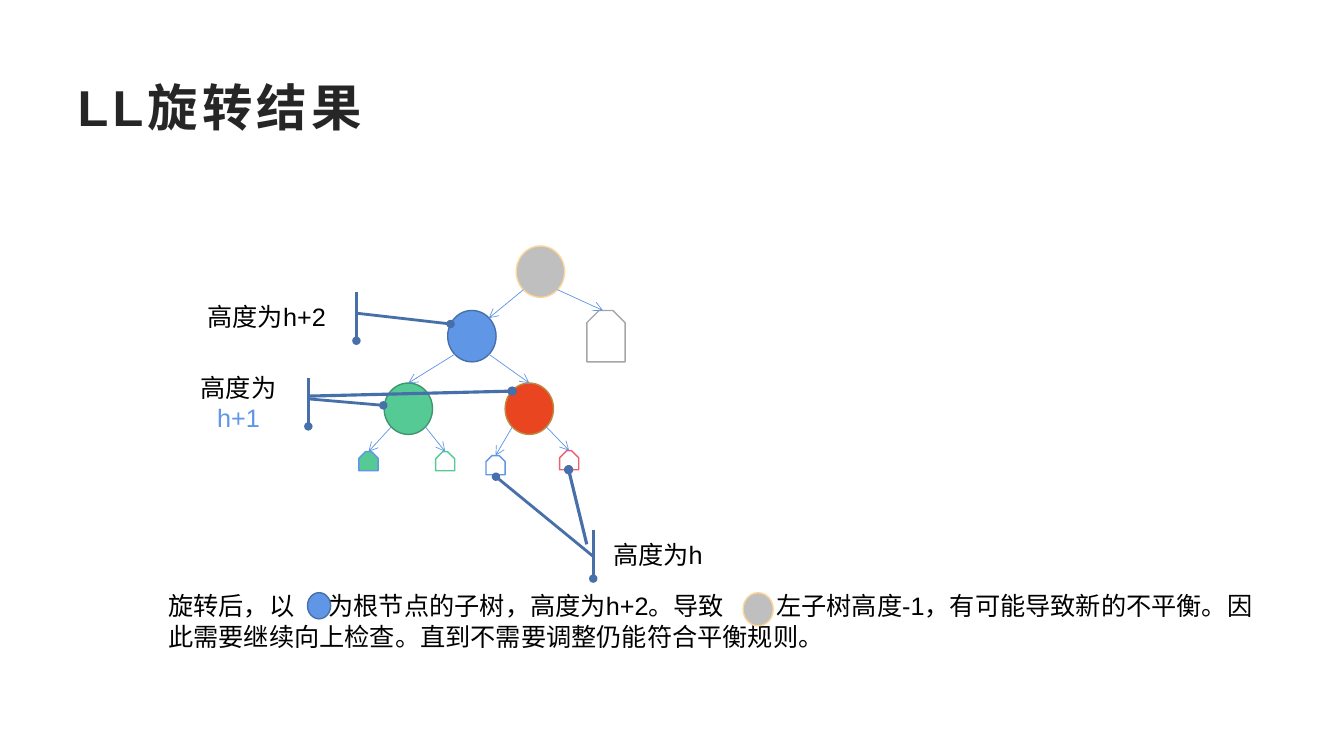
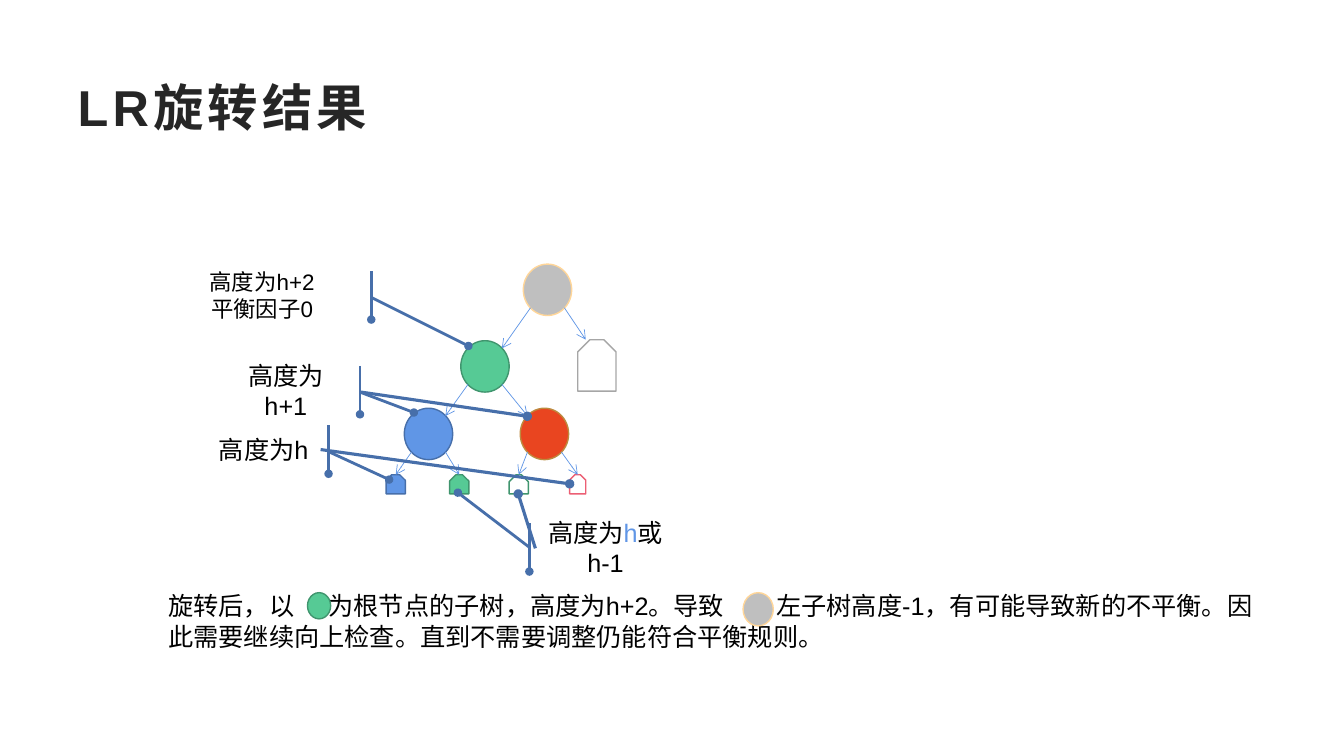
import pptx
import pptx.util
import pptx.oxml.ns
import pptx.dml.color
import pptx.enum.text
import pptx.enum.shapes
import lxml.etree

Inches = pptx.util.Inches
Pt = pptx.util.Pt
SHAPE = pptx.enum.shapes.MSO_SHAPE
ALIGN = pptx.enum.text.PP_ALIGN
ANCHOR = pptx.enum.text.MSO_ANCHOR
FIT = pptx.enum.text.MSO_AUTO_SIZE

FONT = "Arial"
INK, DARK, SKY, NAVY, WHITE = "000000", "262626", "6096E6", "476FAA", "FFFFFF"
GREEN, PINE, ROSE = "56CA95", "40956E", "EC5F74"
BALL = (0.48, 0.51)
BALLS = {
    "gray": ("BFBFBF", "FFD699"),
    "blue": (SKY, NAVY),
    "red": ("E94520", "BD8A3F"),
    "green": (GREEN, PINE),
}
SITES = {
    "top": (0.5, 0), "near top": (0.42, 0), "snip": (0.21, 0),
    "top left": (0.15, 0.15), "top right": (0.85, 0.15),
    "left": (0.15, 0.85), "right": (0.85, 0.85),
}
NOTE = ("旋转后，以\t为根节点的子树，高度为h+2。导致\t左子树高度-1，"
        "有可能导致新的不平衡。因此需要继续向上检查。直到不需要调整仍能符合平衡规则。")
TABS = (1.59, 6.03)

SLIDES = [
    {
        "title": "LL旋转结果",
        "root": "blue",
        "balls": {"gray": (5.12, 2.44), "blue": (4.44, 3.08),
                  "red": (5.01, 3.8), "green": (3.81, 3.8)},
        "leaves": {
            "a": ((3.56, 4.48, 0.19, 0.19), 0.35, GREEN, SKY),
            "b": ((4.32, 4.48, 0.19, 0.19), 0.38, WHITE, GREEN),
            "c": ((4.82, 4.52, 0.19, 0.19), 0.31, WHITE, SKY),
            "d": ((5.55, 4.47, 0.19, 0.19), 0.38, WHITE, ROSE),
            "side": ((5.82, 3.08, 0.38, 0.51), 0.32, WHITE, "A6A6A6"),
        },
        "edges": [
            ("gray", "left", "blue", "top right"),
            ("gray", "right", "side", "near top"),
            ("blue", "left", "green", "top"),
            ("blue", "right", "red", "top"),
            ("green", "left", "a", "top"),
            ("green", "right", "b", "top"),
            ("red", "left", "c", "top"),
            ("red", "right", "d", "top"),
        ],
        "labels": [
            ((1.8, 3.75, 1.13, 0.48), (0.432, 1.114, 0.566, 1.772), 18, ["高度为|h+1"]),
            ((1.92, 2.9, 1.45, 0.48), (0.432, 1.114, 0.655, 1.758), 18, ["高度为h+2"]),
            ((5.96, 5.26, 1.13, 0.48), (0.543, -0.067, -1.106, -0.921), 18, ["高度为h"]),
        ],
        "leads": [((5.82, 5.4), (5.64, 4.66)), ((3.05, 3.93), (5.08, 3.88))],
    },
    {
        "title": "LR旋转结果",
        "root": "green",
        "balls": {"gray": (5.19, 2.62), "red": (5.16, 4.05),
                  "blue": (4.01, 4.05), "green": (4.57, 3.38)},
        "leaves": {
            "a": ((3.83, 4.71, 0.19, 0.19), 0.29, SKY, NAVY),
            "b": ((4.46, 4.71, 0.19, 0.19), 0.33, GREEN, PINE),
            "c": ((5.05, 4.71, 0.19, 0.19), 0.36, WHITE, PINE),
            "d": ((5.65, 4.71, 0.16, 0.19), 0.33, WHITE, ROSE),
            "side": ((5.73, 3.37, 0.38, 0.51), 0.32, WHITE, "A6A6A6"),
        },
        "edges": [
            ("gray", "left", "green", "top right"),
            ("gray", "right", "side", "snip"),
            ("green", "left", "blue", "top right"),
            ("green", "right", "red", "top left"),
            ("blue", "left", "a", "top"),
            ("blue", "right", "b", "top"),
            ("red", "left", "c", "top"),
            ("red", "right", "d", "top"),
        ],
        "labels": [
            ((2.05, 4.22, 1.13, 0.48), (0.543, 1.07, 1.121, 1.602), 18, ["高度为h"]),
            ((5.31, 5.19, 1.39, 0.48), (0.499, -0.043, -0.631, -0.553), 18, ["高度为|h|或h-1"]),
            ((1.65, 2.69, 1.9, 0.48), (0.543, 1.07, 1.546, 1.577), 16, ["高度为h+2", "平衡因子0"]),
            ((2.19, 3.63, 1.29, 0.48), (0.543, 1.07, 0.964, 1.484), 18, ["高度为h+1"]),
        ],
        "leads": [((3.18, 4.46), (5.65, 4.8)), ((5.31, 5.44), (5.14, 4.9)),
                  ((3.58, 3.89), (5.23, 4.13))],
    },
]


def color(code):
    return pptx.dml.color.RGBColor.from_string(code)


def inches(nums):
    return [Inches(num) for num in nums]


def add(parent, tag, **attrs):
    return lxml.etree.SubElement(parent, pptx.oxml.ns.qn(tag), attrs)


def style(font, size, code):
    font.name = FONT
    font.size = Pt(size)
    font.color.rgb = color(code)


def ink(line, code, width, tip=None):
    line.color.rgb = color(code)
    line.width = Pt(width)
    if tip:
        add(line._get_or_add_ln(), "a:tailEnd", type=tip)


def shape(slide, kind, box, fill, edge, width=1, tip=None, adjust=()):
    item = slide.shapes.add_shape(kind, *inches(box))
    item.shadow.inherit = False
    if fill:
        item.fill.solid()
        item.fill.fore_color.rgb = color(fill)
    else:
        item.fill.background()
    ink(item.line, edge, width, tip)
    for i, value in enumerate(adjust):
        item.adjustments[i] = value
    return item


def link(slide, start, end, code, width, tip):
    kind = pptx.enum.shapes.MSO_CONNECTOR.STRAIGHT
    item = slide.shapes.add_connector(kind, *inches(start + end))
    ink(item.line, code, width, tip)
    add(item._element.spPr, "a:effectLst")


def site(box, name):
    left, top, width, height = box
    across, down = SITES[name]
    return left + width * across, top + height * down


def head(slide, text):
    title = slide.shapes.title
    title.left, title.top, title.width, title.height = inches((0.67, 0.67, 12, 0.77))
    frame = title.text_frame
    frame.text = text
    frame.auto_size = FIT.NONE
    frame.vertical_anchor = ANCHOR.MIDDLE
    para = frame.paragraphs[0]
    para.alignment = ALIGN.LEFT
    style(para.font, 36, DARK)
    para.font.bold = True
    para.runs[0]._r.get_or_add_rPr().set("spc", "300")


def label(slide, box, adjust, size, lines):
    item = shape(slide, SHAPE.LINE_CALLOUT_1_ACCENT_BAR, box, None, NAVY, 2, "oval", adjust)
    frame = item.text_frame
    frame.word_wrap = True
    frame.vertical_anchor = ANCHOR.MIDDLE
    for i, line in enumerate(lines):
        para = frame.add_paragraph() if i else frame.paragraphs[0]
        para.alignment = ALIGN.CENTER
        style(para.font, size, INK)
        for j, part in enumerate(line.split("|")):
            run = para.add_run()
            run.text = part
            run.font.color.rgb = color(SKY if j % 2 else INK)


def tree(slide, data):
    boxes = {name: spot + BALL for name, spot in data["balls"].items()}
    for name, box in boxes.items():
        shape(slide, SHAPE.OVAL, box, *BALLS[name])
    for name, (box, snip, fill, edge) in data["leaves"].items():
        boxes[name] = box
        shape(slide, SHAPE.SNIP_2_SAME_RECTANGLE, box, fill, edge, adjust=(snip, 0))
    for start, exit_at, end, enter in data["edges"]:
        link(slide, site(boxes[start], exit_at), site(boxes[end], enter), SKY, 0.5, "arrow")


def note(slide, root):
    frame = slide.shapes.add_textbox(*inches((1.57, 5.81, 11.09, 0.71))).text_frame
    frame.word_wrap = True
    frame.auto_size = FIT.SHAPE_TO_FIT_TEXT
    para = frame.paragraphs[0]
    para.add_run().text = NOTE
    tabs = add(para._p.get_or_add_pPr(), "a:tabLst")
    for stop in TABS:
        add(tabs, "a:tab", pos=str(Inches(stop)), algn="l")
    style(para.font, 18, INK)
    shape(slide, SHAPE.OVAL, (3.05, 5.88, 0.23, 0.26), *BALLS[root])
    shape(slide, SHAPE.OVAL, (7.37, 5.88, 0.3, 0.33), *BALLS["gray"])


def main():
    deck = pptx.Presentation()
    deck.slide_width, deck.slide_height = inches((13.33, 7.5))
    for data in SLIDES:
        slide = deck.slides.add_slide(deck.slide_layouts[5])
        head(slide, data["title"])
        tree(slide, data)
        for args in data["labels"]:
            label(slide, *args)
        for start, end in data["leads"]:
            link(slide, start, end, NAVY, 2.25, "oval")
        note(slide, data["root"])
    deck.save("out.pptx")


if __name__ == "__main__":
    main()
